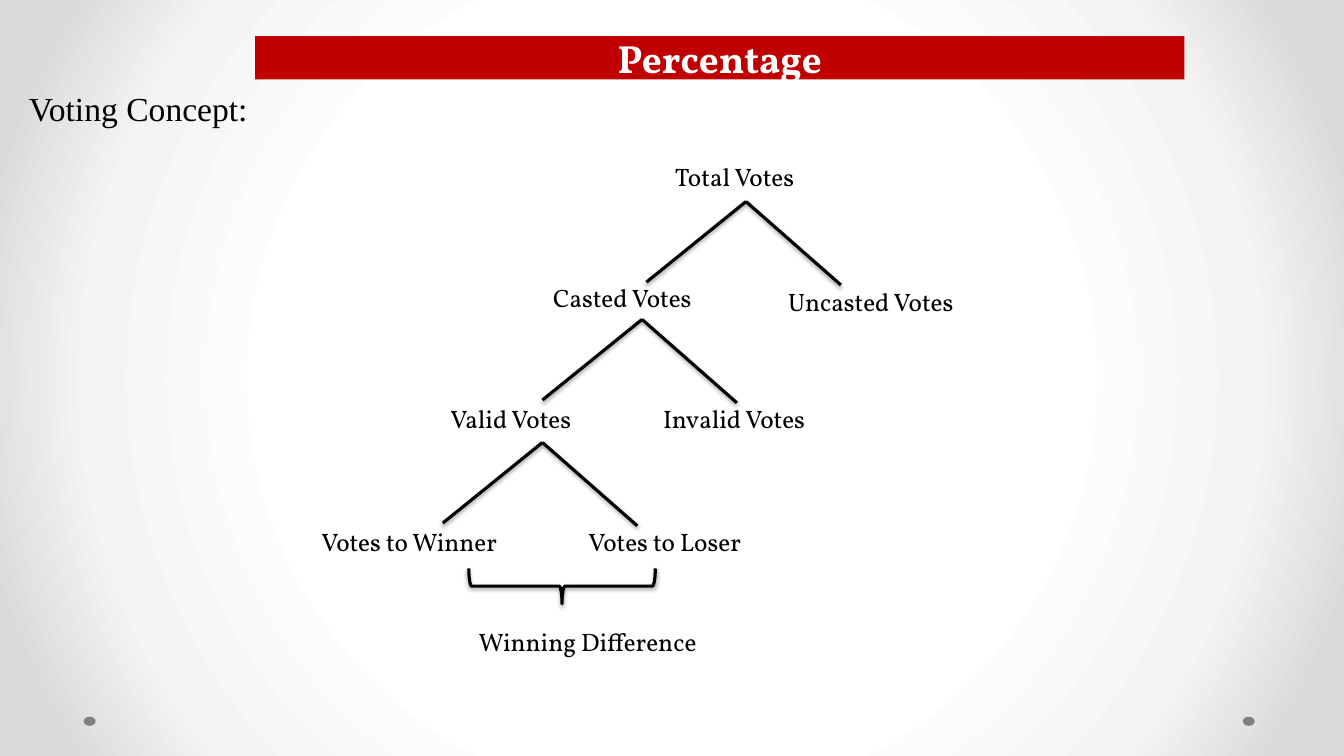
from lxml.etree import SubElement
from pptx import Presentation
from pptx.dml.color import RGBColor
from pptx.enum.shapes import MSO_CONNECTOR as Link, MSO_SHAPE as Preset
from pptx.enum.text import MSO_ANCHOR as Anchor, PP_ALIGN as Align
from pptx.oxml.ns import qn
from pptx.util import Cm, Pt

BLACK = RGBColor(0x00, 0x00, 0x00)
WHITE = RGBColor(0xFF, 0xFF, 0xFF)
RED = RGBColor(0xC0, 0x00, 0x00)
GREY = RGBColor(0x80, 0x80, 0x80)
PALE = RGBColor(0xF4, 0xF4, 0xF4)
SILVER = RGBColor(0xDA, 0xDA, 0xDA)

GLOW_STOPS = [(50, WHITE), (76, PALE), (92, SILVER)]
LABEL = {"name": "Vollkorn", "size": Pt(18)}
HEADING = {"name": "Times New Roman", "size": Pt(24)}
BANNER = {"name": "Vollkorn", "size": Pt(28), "bold": True}

VOTES = [
    ("Total Votes", 16.76, 3.94),
    ("Casted Votes", 13.69, 6.99),
    ("Uncasted Votes", 19.61, 7.09),
    ("Valid Votes", 11.1, 10.03),
    ("Invalid Votes", 16.46, 10.03),
    ("Votes to Winner", 7.85, 13.13),
    ("Votes to Loser", 14.58, 13.13),
    ("Winning Difference", 11.81, 15.65),
]
FORKS = [(18.8, 5.08), (16.18, 8.05), (13.67, 11.15)]
BRANCHES = [(-2.51, 2.03), (2.39, 2.1)]


def paint_background(page):
    """Fill the page with a round glow from white to silver."""
    fill = page.background.fill
    fill.gradient()
    grad = page.background._cSld.find(".//" + qn("a:gradFill"))
    for child in list(grad):
        grad.remove(child)
    stops = SubElement(grad, qn("a:gsLst"))
    for position, color in GLOW_STOPS:
        stop = SubElement(stops, qn("a:gs"), pos=str(position * 1000))
        SubElement(stop, qn("a:srgbClr"), val=str(color))
    circle = SubElement(grad, qn("a:path"), {"path": "circle"})
    SubElement(circle, qn("a:fillToRect"), {side: "50000" for side in "ltrb"})


def write(shape, text, font, color=BLACK, align=Align.LEFT):
    """Put one formatted paragraph in a shape."""
    para = shape.text_frame.paragraphs[0]
    para.alignment = align
    span = para.add_run()
    span.text = text
    span.font.color.rgb = color
    for name, value in font.items():
        setattr(span.font, name, value)


def add_text(page, text, font, place, align=Align.LEFT):
    """Add a wrapping text box at a place in centimetres."""
    box = page.shapes.add_textbox(*map(Cm, place))
    box.text_frame.word_wrap = True
    write(box, text, font, align=align)


def add_solid(page, preset, place, color):
    """Add a filled shape without outline or shadow."""
    shape = page.shapes.add_shape(preset, *map(Cm, place))
    shape.shadow.inherit = False
    shape.fill.solid()
    shape.fill.fore_color.rgb = color
    shape.line.fill.background()
    return shape


def ink(shape):
    """Give a shape a black line with a soft shadow below it."""
    shape.line.color.rgb = BLACK
    shape.line.width = Pt(2.25)
    effects = SubElement(shape._element.spPr, qn("a:effectLst"))
    shadow = SubElement(effects, qn("a:outerShdw"), blurRad=str(Pt(3.1)),
                        dist=str(Pt(1.6)), dir="5400000", rotWithShape="0")
    color = SubElement(shadow, qn("a:srgbClr"), val=str(BLACK))
    SubElement(color, qn("a:alpha"), val="38000")


def add_fork(page, x, y):
    """Draw two branches down from one point."""
    for across, down in BRANCHES:
        ends = map(Cm, (x, y, x + across, y + down))
        ink(page.shapes.add_connector(Link.STRAIGHT, *ends))


def add_brace(page, place):
    """Add a brace turned to point downwards."""
    brace = page.shapes.add_shape(Preset.LEFT_BRACE, *map(Cm, place))
    brace.rotation = 270
    brace.fill.background()
    ink(brace)


def main():
    """Build the voting slide."""
    deck = Presentation()
    deck.slide_width, deck.slide_height = Cm(33.87), Cm(19.05)
    page = deck.slides.add_slide(deck.slide_layouts[6])
    paint_background(page)
    for left in (31.32, 2.11):
        add_solid(page, Preset.OVAL, (left, 18.06, 0.3, 0.23), GREY)
    add_text(page, "Voting Concept:", HEADING, (0.48, 2.08, 32.33, 6.4), Align.JUSTIFY)
    banner = add_solid(page, Preset.RECTANGLE, (6.43, 0.91, 23.42, 1.09), RED)
    banner.text_frame.vertical_anchor = Anchor.MIDDLE
    write(banner, "Percentage", BANNER, WHITE, Align.CENTER)
    for text, left, top in VOTES:
        add_text(page, text, LABEL, (left, top, 7.49, 1.14))
    for x, y in FORKS:
        add_fork(page, x, y)
    add_brace(page, (13.72, 12.42, 0.89, 4.7))
    deck.save("out.pptx")


if __name__ == "__main__":
    main()
